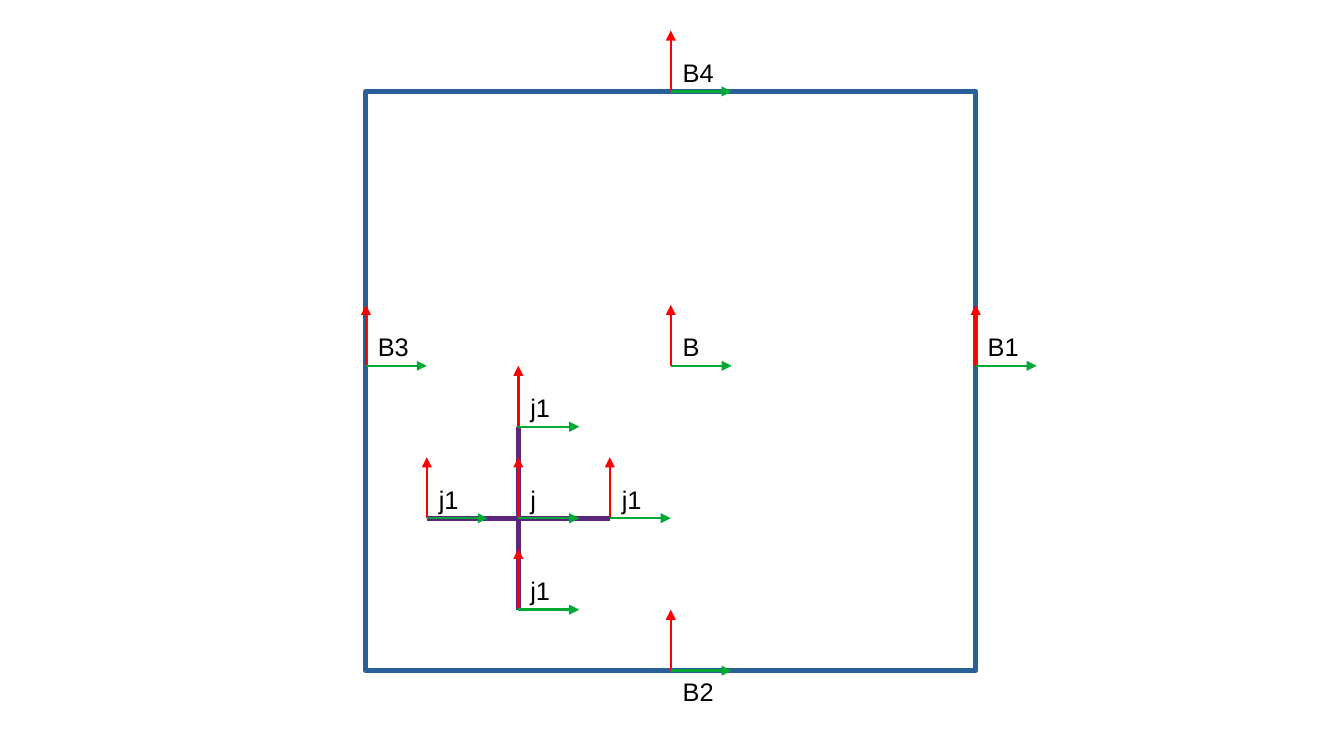
import pptx
import pptx.dml.color
import pptx.enum.dml
import pptx.enum.shapes
import pptx.enum.text
import pptx.oxml
import pptx.oxml.ns
import pptx.util

Pt = pptx.util.Pt

BLUE, PURPLE, RED, GREEN, BLACK = "2A6099", "5B277D", "FF0000", "00A933", "000000"
AXIS = 36
LABEL_HEIGHT = 23.76
LABEL_WIDTHS = {"B": 24.48, "j": 17.28}

# Body: left, top, width, height
BODY = (216, 54, 360, 342)

# Frames: label, origin x, origin y, label shift down
BODY_FRAMES = [
    ("B", 396, 216, 0),
    ("B1", 576, 216, 0),
    ("B4", 396, 54, 0),
    ("B3", 216, 216, 0),
    ("B2", 396, 396, LABEL_HEIGHT),
]

# Joint cross: centre and arm length
JOINT_X, JOINT_Y, ARM = 306, 306, 54
JOINT_FRAMES = [
    ("j1", JOINT_X, JOINT_Y - ARM, 0),
    ("j", JOINT_X, JOINT_Y, 0),
    ("j1", JOINT_X + ARM, JOINT_Y, 0),
    ("j1", JOINT_X, JOINT_Y + ARM, 0),
    ("j1", JOINT_X - ARM, JOINT_Y, 0),
]


def set_color(color_format, color):
    color_format.rgb = pptx.dml.color.RGBColor.from_string(color)


def set_line(line, color, width):
    line.fill.solid()
    set_color(line.fill.fore_color, color)
    line.width = Pt(width)


def add_outline(slide, box, color, width):
    sp = slide.shapes.add_shape(
        pptx.enum.shapes.MSO_SHAPE.RECTANGLE, *(Pt(v) for v in box))
    sp.shadow.inherit = False
    sp.fill.background()
    set_line(sp.line, color, width)


def add_line(slide, start, end, color, width, arrow=False):
    sp = slide.shapes.add_connector(
        pptx.enum.shapes.MSO_CONNECTOR.STRAIGHT,
        *(Pt(v) for v in (*start, *end)))
    set_line(sp.line, color, width)
    if arrow:
        tail = pptx.oxml.parse_xml(
            f'<a:tailEnd {pptx.oxml.ns.nsdecls("a")} type="triangle"/>')
        sp.line._get_or_add_ln().append(tail)
    effects = pptx.oxml.parse_xml(
        f'<a:effectLst {pptx.oxml.ns.nsdecls("a")}/>')
    sp._element.spPr.append(effects)


def add_label(slide, text, x, y):
    width = LABEL_WIDTHS.get(text, AXIS)
    sp = slide.shapes.add_textbox(Pt(x), Pt(y), Pt(width), Pt(LABEL_HEIGHT))
    tf = sp.text_frame
    tf.word_wrap = text not in LABEL_WIDTHS
    tf.text = text
    p = tf.paragraphs[0]
    p.alignment = pptx.enum.text.PP_ALIGN.LEFT
    r = p.runs[0]
    r.font.name = "Arial"
    r.font.size = Pt(15)
    set_color(r.font.color, BLACK)


def add_frame(slide, text, x, y, shift):
    add_line(slide, (x, y), (x, y - AXIS), RED, 1.5, arrow=True)
    add_line(slide, (x, y), (x + AXIS, y), GREEN, 1.5, arrow=True)
    add_label(slide, text, x, y - LABEL_HEIGHT + shift)


def main():
    prs = pptx.Presentation()
    prs.slide_width, prs.slide_height = Pt(793.44), Pt(446.4)
    s = prs.slides.add_slide(prs.slide_layouts[6])

    # Body with its frames
    add_outline(s, BODY, BLUE, 3)
    for frame in BODY_FRAMES:
        add_frame(s, *frame)

    # Joint cross with its frames
    for dx, dy in ((0, ARM), (ARM, 0)):
        add_line(s, (JOINT_X - dx, JOINT_Y - dy),
                 (JOINT_X + dx, JOINT_Y + dy), PURPLE, 3)
    for frame in JOINT_FRAMES:
        add_frame(s, *frame)

    prs.save("out.pptx")


if __name__ == "__main__":
    main()
